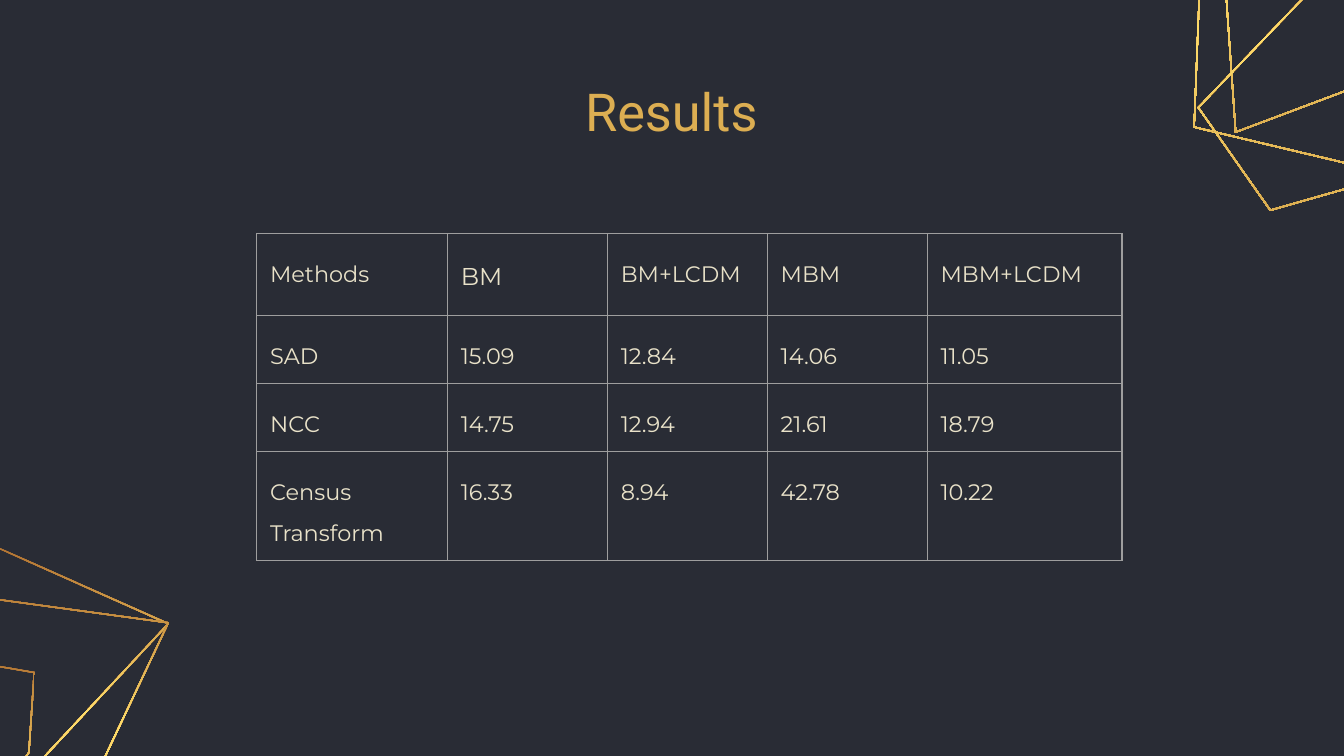
import math
import pptx
import pptx.util
import pptx.dml.color
import pptx.enum.text
import pptx.oxml.ns
from lxml import etree

Inches, Pt = pptx.util.Inches, pptx.util.Pt
qn = pptx.oxml.ns.qn

BACK, GOLD, CREAM, GREY = "292C35", "DCAE52", "E9E2C9", "9E9E9E"
SHADES = [(0, "AF7132"), (50, "FFDD6B"), (100, GOLD)]
THICK = Pt(0.7)

ROWS = [
    ("Methods", "BM", "BM+LCDM", "MBM", "MBM+LCDM"),
    ("SAD", "15.09", "12.84", "14.06", "11.05"),
    ("NCC", "14.75", "12.94", "21.61", "18.79"),
    ("Census Transform", "16.33", "8.94", "42.78", "10.22"),
]
WIDTHS = [1.42, 1.19, 1.19, 1.19, 1.45]
HEIGHTS = [0.61, 0.39, 0.39, 0.77]

# Outer corners of each gold outline, clockwise
RINGS = [
    [(9.19, 0.99), (9.02, -1.45), (12.02, -1.03), (11.48, 0.13)],
    [(-2.47, 6.62), (-2.39, 5.41), (-0.67, 4.84), (0.26, 5),
     (0.22, 5.6), (-0.79, 7.06)],
    [(-1.43, 6.56), (-1.93, 5.81), (-0.13, 4.02), (1.26, 4.64),
     (-0.24, 6.25)],
    [(-1.43, 6.56), (-1.6, 4.24), (1.26, 4.63), (0.74, 5.73)],
    [(8.88, 0.95), (8.93, -0.32), (10.71, -0.96), (11.69, -0.81),
     (11.66, -0.19), (10.65, 1.37)],
    [(9.45, 1.57), (8.91, 0.8), (10.74, -1.11), (12.2, -0.5),
     (10.68, 1.22)],
]


def color(code):
    return pptx.dml.color.RGBColor.from_string(code)


def style(par, size, face, code):
    for run in par.runs:
        run.font.size = Pt(size)
        run.font.name = face
        run.font.color.rgb = color(code)


def pad(box):
    """Give a text frame or table cell equal margins."""
    box.margin_left = box.margin_right = Inches(0.1)
    box.margin_top = box.margin_bottom = Inches(0.1)


def inset(pts, gap):
    """Move every side of a clockwise polygon inward by gap."""
    out = []
    for i, (x, y) in enumerate(pts):
        px, py = pts[i - 1]
        nx, ny = pts[(i + 1) % len(pts)]
        a = math.atan2(y - py, x - px)
        b = math.atan2(ny - y, nx - x)
        mid = a + ((b - a) % math.tau) / 2
        far = gap / math.cos(mid - a)
        out.append((x - far * math.sin(mid), y + far * math.cos(mid)))
    return out


def add_ring(shapes, corners):
    outer = [(Inches(x), Inches(y)) for x, y in corners]
    inner = inset(outer, THICK)
    pen = shapes.build_freeform(*outer[0], scale=1.0)
    pen.add_line_segments(outer[1:], close=True)
    pen.move_to(*inner[0])
    pen.add_line_segments(inner[1:], close=True)
    ring = pen.convert_to_shape()
    ring.shadow.inherit = False
    ring.line.fill.background()
    ring.fill.gradient()
    grad = ring._element.spPr.find(qn("a:gradFill"))
    stops = grad.find(qn("a:gsLst"))
    for old in list(stops):
        stops.remove(old)
    for pos, code in SHADES:
        stop = etree.SubElement(stops, qn("a:gs"), pos=str(pos * 1000))
        etree.SubElement(stop, qn("a:srgbClr"), val=code)
    grad.find(qn("a:lin")).set("ang", str(90 * 60000))


def add_borders(cell):
    props = cell._tc.get_or_add_tcPr()
    for side in "LRTB":
        line = etree.SubElement(props, qn("a:ln" + side), w=str(Pt(0.75)))
        fill = etree.SubElement(line, qn("a:solidFill"))
        etree.SubElement(fill, qn("a:srgbClr"), val=GREY)


def add_grid(shapes):
    grid = shapes.add_table(len(ROWS), len(WIDTHS), Inches(1.91), Inches(1.74),
                            Inches(sum(WIDTHS)), Inches(sum(HEIGHTS))).table
    grid.first_row = grid.horz_banding = False
    for col, width in zip(grid.columns, WIDTHS):
        col.width = Inches(width)
    for row, high, texts in zip(grid.rows, HEIGHTS, ROWS):
        row.height = Inches(high)
        for cell, text in zip(row.cells, texts):
            cell.text_frame.text = text
            par = cell.text_frame.paragraphs[0]
            par.line_spacing = 1.5
            style(par, 13 if text == "BM" else 12, "Montserrat", CREAM)
            pad(cell)
            add_borders(cell)
            cell.fill.background()


def set_title(title):
    title.left, title.top = Inches(2.18), Inches(0.59)
    title.width, title.height = Inches(5.63), Inches(0.47)
    frame = title.text_frame
    frame.text = "Results"
    pad(frame)
    frame.vertical_anchor = pptx.enum.text.MSO_ANCHOR.MIDDLE
    frame.auto_size = pptx.enum.text.MSO_AUTO_SIZE.NONE
    frame.paragraphs[0].alignment = pptx.enum.text.PP_ALIGN.CENTER
    style(frame.paragraphs[0], 28, "Roboto", GOLD)


def main():
    deck = pptx.Presentation()
    deck.slide_width = Inches(10)
    deck.slide_height = deck.slide_width * 9 // 16
    slide = deck.slides.add_slide(deck.slide_layouts[5])
    slide.background.fill.solid()
    slide.background.fill.fore_color.rgb = color(BACK)
    shapes = slide.shapes
    for corners in RINGS:
        add_ring(shapes, corners)
    set_title(shapes.title)
    shapes._spTree.append(shapes.title._element)
    add_grid(shapes)
    deck.save("out.pptx")


if __name__ == "__main__":
    main()
